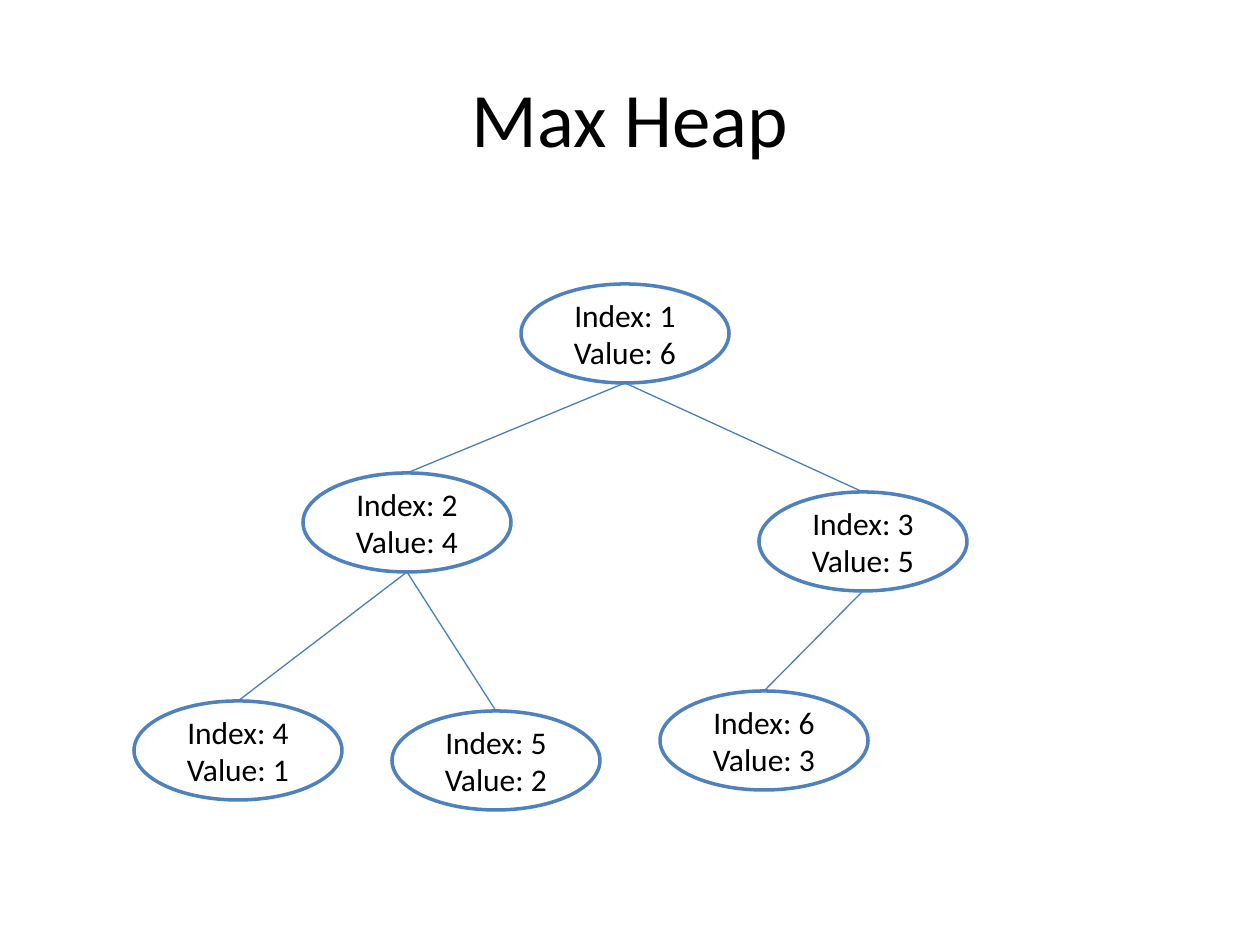
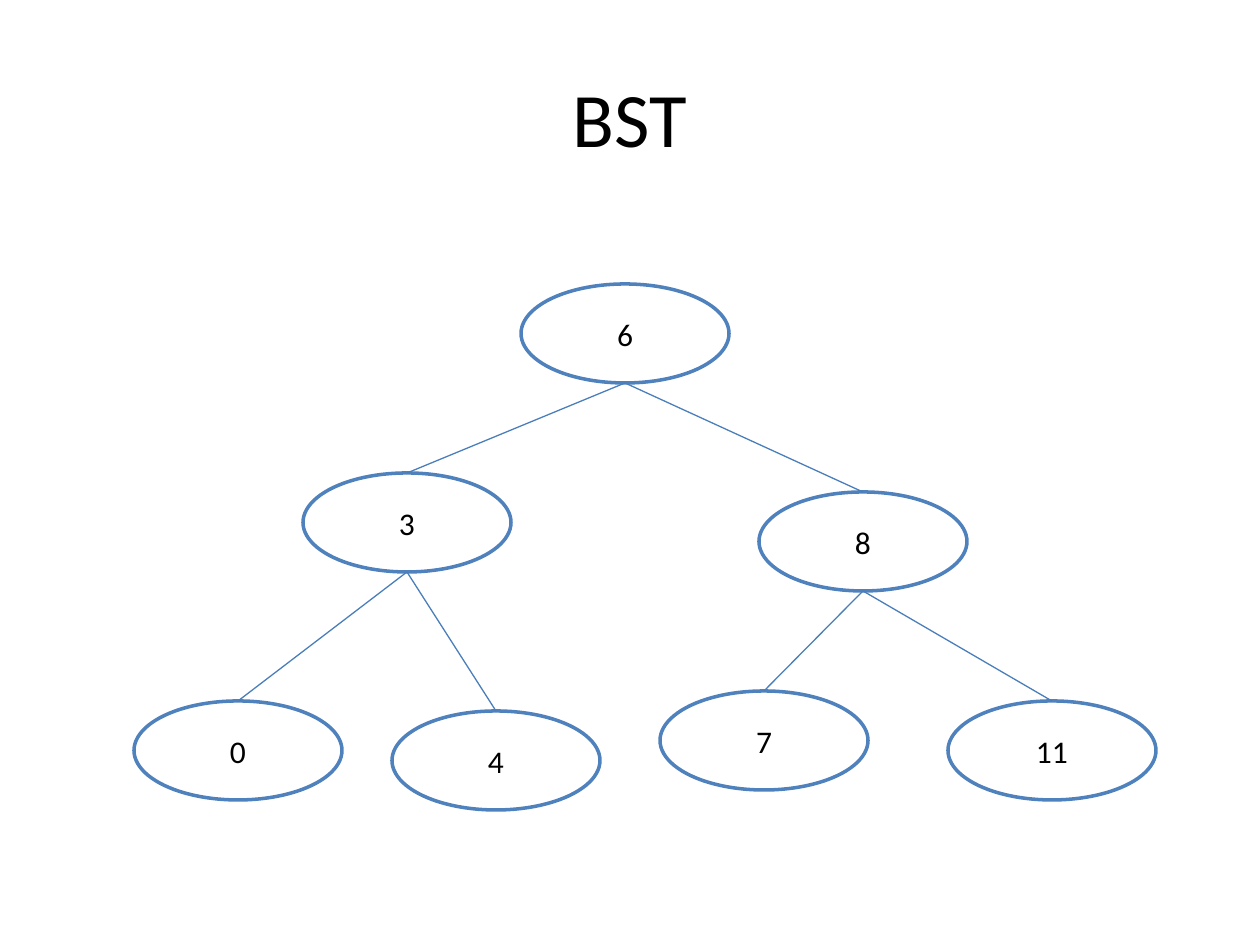
from lxml.etree import SubElement
from pptx import Presentation
from pptx.dml.color import RGBColor
from pptx.enum.shapes import MSO_CONNECTOR as LINK, MSO_SHAPE as PRESET
from pptx.enum.text import MSO_ANCHOR as ANCHOR, PP_ALIGN as ALIGN
from pptx.oxml.ns import qn
from pptx.util import Emu, Pt

PIXEL = 914400 / 126
COLORS = {"text": "000000", "node": "FFFFFF", "outline": "4F81BD", "edge": "4A7EBB"}
FONT = "Calibri"
TITLE_BOX = (63, 38, 1134, 158)
TREE_BOX = (134, 284, 1022, 527)
NODE_SIZE = (208, 99)
NODE_OFFSETS = [(387, 0), (169, 189), (625, 208),
                (0, 417), (258, 427), (526, 407), (814, 417)]
HEAP_VALUES = [6, 4, 5, 1, 2, 3]
BST_VALUES = [6, 3, 8, 0, 4, 7, 11]


def px(*lengths):
    """Turn pixel lengths into EMU."""
    return [Emu(round(length * PIXEL)) for length in lengths]


def color(name):
    """Look up a palette colour."""
    return RGBColor.from_string(COLORS[name])


def write(holder, text, size=18, fill="text", align=ALIGN.CENTER, anchor=ANCHOR.MIDDLE):
    """Fill a shape with formatted text, one paragraph a line."""
    frame = holder.text_frame
    frame.word_wrap = True
    frame.vertical_anchor = anchor
    frame.text = text
    for paragraph in frame.paragraphs:
        paragraph.alignment = align
        for run in paragraph.runs:
            run.font.name = FONT
            run.font.size = Pt(size)
            run.font.color.rgb = color(fill)


def add_title(slide, box, title):
    """Place the slide title."""
    write(slide.shapes.add_textbox(*px(*box)), title, size=44)


def add_node(slide, box, label):
    """Draw one labelled tree node."""
    node = slide.shapes.add_shape(PRESET.OVAL, *px(*box))
    node.shadow.inherit = False
    node.fill.solid()
    node.fill.fore_color.rgb = color("node")
    node.line.color.rgb = color("outline")
    node.line.width = Pt(2)
    write(node, label)


def add_edge(slide, start, end):
    """Draw a line from a parent to its child."""
    edge = slide.shapes.add_connector(LINK.STRAIGHT, *px(*start, *end))
    edge.line.color.rgb = color("edge")
    edge.line.width = Pt(0.75)
    SubElement(edge._element.spPr, qn("a:effectLst"))


def add_tree(slide, box, labels):
    """Draw a binary tree from labels in level order."""
    left, top = box[:2]
    width, height = NODE_SIZE
    corners = [(left + dx, top + dy) for dx, dy in NODE_OFFSETS[:len(labels)]]
    for corner, label in zip(corners, labels):
        add_node(slide, (*corner, width, height), label)
    for child in range(1, len(labels)):
        parent_x, parent_y = corners[(child - 1) // 2]
        child_x, child_y = corners[child]
        add_edge(slide, (parent_x + width / 2, parent_y + height),
                 (child_x + width / 2, child_y))


def add_tree_slide(deck, title, labels):
    """Add a slide with a title above a tree."""
    slide = deck.slides.add_slide(deck.slide_layouts[6])
    add_tree(slide, TREE_BOX, labels)
    add_title(slide, TITLE_BOX, title)


deck = Presentation()
deck.slide_width, deck.slide_height = px(1260, 945)
add_tree_slide(deck, "Max Heap", [f"Index: {index}\nValue: {value}"
                                  for index, value in enumerate(HEAP_VALUES, 1)])
add_tree_slide(deck, "BST", [str(value) for value in BST_VALUES])
deck.save("out.pptx")
